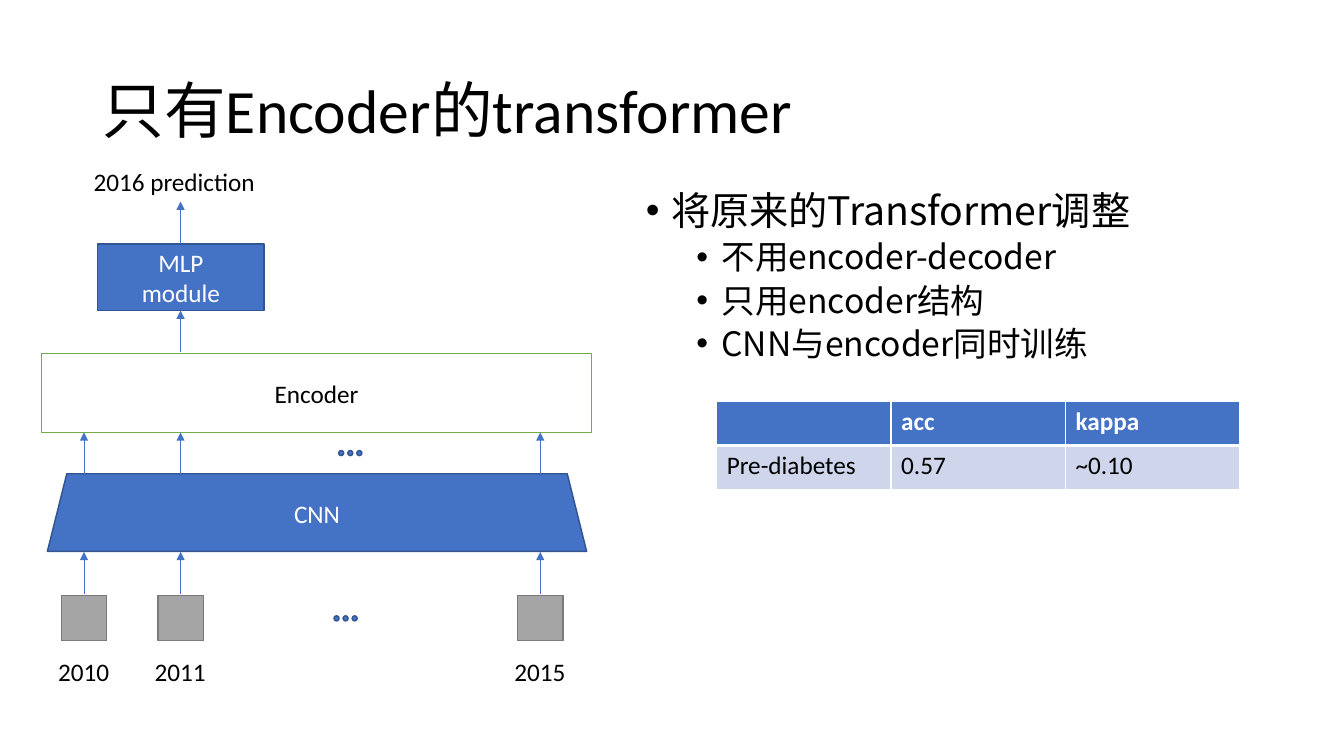
from lxml import etree
from pptx import Presentation
from pptx.dml.color import RGBColor
from pptx.enum.shapes import MSO_CONNECTOR, MSO_SHAPE
from pptx.enum.text import MSO_ANCHOR, PP_ALIGN
from pptx.oxml.ns import qn
from pptx.util import Inches, Pt

RECTANGLE, TRAPEZOID, OVAL = MSO_SHAPE.RECTANGLE, MSO_SHAPE.TRAPEZOID, MSO_SHAPE.OVAL
STRAIGHT = MSO_CONNECTOR.STRAIGHT
CENTER, LEFT = PP_ALIGN.CENTER, PP_ALIGN.LEFT
MIDDLE, TOP = MSO_ANCHOR.MIDDLE, MSO_ANCHOR.TOP

COLUMNS, ROWS = 80, 45
SLIDE_WIDTH, SLIDE_HEIGHT = Inches(13.33), Inches(7.5)
LATIN_FONT, CHINESE_FONT = "Calibri", "Noto Sans CJK SC"
COLORS = {
    "black": "000000", "white": "FFFFFF", "green": "70AD47",
    "blue": "4472C4", "dark blue": "325491",
    "gray": "A5A5A5", "dark gray": "7A7A7A", "pale blue": "CFD5EA",
}

YEARS = {"2010": 5, "2011": 10.75, "2015": 32.16}
MAIN_COLUMN = YEARS["2011"]
SQUARE_SIDE, LABEL_WIDTH = 2.7, 4.26
DOT_SIZE, DOT_STEP = 0.3, 0.54
BULLETS = [
    (0, "将原来的Transformer调整"),
    (1, "不用encoder-decoder"),
    (1, "只用encoder结构"),
    (1, "CNN与encoder同时训练"),
]
BULLET_LEVELS = [
    {"size": 28, "before": 10, "margin": 0.25},
    {"size": 24, "before": 5, "margin": 0.75},
]
RESULTS = [["", "acc", "kappa"], ["Pre-diabetes", "0.57", "~0.10"]]


def color(name):
    return RGBColor.from_string(COLORS[name])


def grid(left, top, *size):
    """Turn columns and rows into slide lengths."""
    units = (SLIDE_WIDTH / COLUMNS, SLIDE_HEIGHT / ROWS) * 2
    return [round(value * unit) for value, unit in zip((left, top, *size), units)]


def set_attributes(target, values):
    for name, value in values.items():
        setattr(target, name, value)


def write(para, text, size=18, ink="black", font=LATIN_FONT, bold=False):
    span = para.add_run()
    span.text = text
    set_attributes(span.font, {"size": Pt(size), "name": font, "bold": bold})
    span.font.color.rgb = color(ink)
    east_asian = etree.SubElement(span.font._element, qn("a:ea"))
    east_asian.set("typeface", CHINESE_FONT)


def add_paragraphs(frame, lines, align=LEFT, **style):
    for index, line in enumerate(lines):
        para = frame.add_paragraph() if index else frame.paragraphs[0]
        para.alignment = align
        write(para, line, **style)


def add_block(page, kind, area, fill, line, lines=(), ink="white"):
    block = page.shapes.add_shape(kind, *grid(*area))
    block.shadow.inherit = False
    block.fill.solid()
    block.fill.fore_color.rgb = color(fill)
    block.line.color.rgb = color(line)
    block.line.width = Pt(1)
    block.text_frame.vertical_anchor = MIDDLE
    add_paragraphs(block.text_frame, lines, CENTER, ink=ink)


def add_text(page, area, lines, wrap=False, anchor=TOP, **style):
    frame = page.shapes.add_textbox(*grid(*area)).text_frame
    set_attributes(frame, {"word_wrap": wrap, "vertical_anchor": anchor})
    add_paragraphs(frame, lines, **style)
    return frame


def add_up_arrow(page, column, bottom, top):
    arrow = page.shapes.add_connector(STRAIGHT, *grid(column, bottom, column, top))
    arrow.line.color.rgb = color("blue")
    arrow.line.width = Pt(0.5)
    tail = etree.SubElement(arrow.line._get_or_add_ln(), qn("a:tailEnd"))
    tail.set("type", "triangle")
    etree.SubElement(arrow._element.spPr, qn("a:effectLst"))


def add_ellipsis(page, left, top):
    for index in range(3):
        area = (left + index * DOT_STEP, top, DOT_SIZE, DOT_SIZE)
        add_block(page, OVAL, area, "blue", "dark blue")


def add_year(page, year, column):
    area = (column - SQUARE_SIDE / 2, 35.43, SQUARE_SIDE, SQUARE_SIDE)
    add_block(page, RECTANGLE, area, "gray", "dark gray")
    add_text(page, (column - LABEL_WIDTH / 2, 38.76, LABEL_WIDTH, 2.4), [year])
    add_up_arrow(page, column, 35.34, 32.85)
    add_up_arrow(page, column, 28.2, 25.74)


def add_network(page):
    add_block(page, RECTANGLE, (2.46, 21.06, 32.76, 4.68), "white", "green",
              ["Encoder"], "black")
    add_block(page, TRAPEZOID, (2.82, 28.2, 32.1, 4.62), "blue", "dark blue", ["CNN"])
    add_block(page, RECTANGLE, (5.82, 14.52, 9.9, 3.96), "blue", "dark blue",
              ["MLP", "module"])
    for year, column in YEARS.items():
        add_year(page, year, column)
    add_up_arrow(page, MAIN_COLUMN, 20.94, 18.48)
    add_up_arrow(page, MAIN_COLUMN, 14.52, 12)
    add_text(page, (4.98, 9.6, 10.8, 2.4), ["2016 prediction"])
    add_ellipsis(page, 19.88, 36.66)
    add_ellipsis(page, 20.16, 26.82)


def add_bullets(page):
    frame = add_text(page, (37.86, 11.1, 40.74, 28.56), [], wrap=True)
    for index, (level, text) in enumerate(BULLETS):
        look = BULLET_LEVELS[level]
        para = frame.add_paragraph() if index else frame.paragraphs[0]
        set_attributes(para, {"level": level, "line_spacing": 0.9,
                              "space_before": Pt(look["before"])})
        write(para, text, look["size"], font=CHINESE_FONT)
        properties = para._p.get_or_add_pPr()
        properties.set("marL", str(Inches(look["margin"])))
        properties.set("indent", str(Inches(-0.25)))
        etree.SubElement(properties, qn("a:buFont")).set("typeface", "Arial")
        etree.SubElement(properties, qn("a:buChar")).set("char", "•")


def add_borders(cell, widths):
    properties = cell._tc.get_or_add_tcPr()
    for index, (side, width) in enumerate(zip("LRTB", widths)):
        border = etree.Element(qn(f"a:ln{side}"), w=str(Pt(width)))
        fill = etree.SubElement(border, qn("a:solidFill"))
        etree.SubElement(fill, qn("a:srgbClr")).set("val", COLORS["white"])
        properties.insert(index, border)


def add_results(page):
    area = grid(42.66, 23.88, 31.14, 5.28)
    table = page.shapes.add_table(len(RESULTS), len(RESULTS[0]), *area).table
    looks = [
        {"fill": "blue", "ink": "white", "bold": True, "borders": (1, 1, 1, 3)},
        {"fill": "pale blue", "ink": "black", "bold": False, "borders": (1, 1, 3, 1)},
    ]
    for row, (values, look) in enumerate(zip(RESULTS, looks)):
        for column, value in enumerate(values):
            cell = table.cell(row, column)
            cell.fill.solid()
            cell.fill.fore_color.rgb = color(look["fill"])
            add_borders(cell, look["borders"])
            if value:
                write(cell.text_frame.paragraphs[0], value,
                      ink=look["ink"], bold=look["bold"])


def main():
    deck = Presentation()
    set_attributes(deck, {"slide_width": SLIDE_WIDTH, "slide_height": SLIDE_HEIGHT})
    page = deck.slides.add_slide(deck.slide_layouts[6])
    add_network(page)
    title = add_text(page, (5.52, 2.4, 69, 8.7), ["只有Encoder的transformer"],
                     wrap=True, anchor=MIDDLE, size=44)
    title.paragraphs[0].line_spacing = 0.9
    add_bullets(page)
    add_results(page)
    deck.save("out.pptx")


if __name__ == "__main__":
    main()
